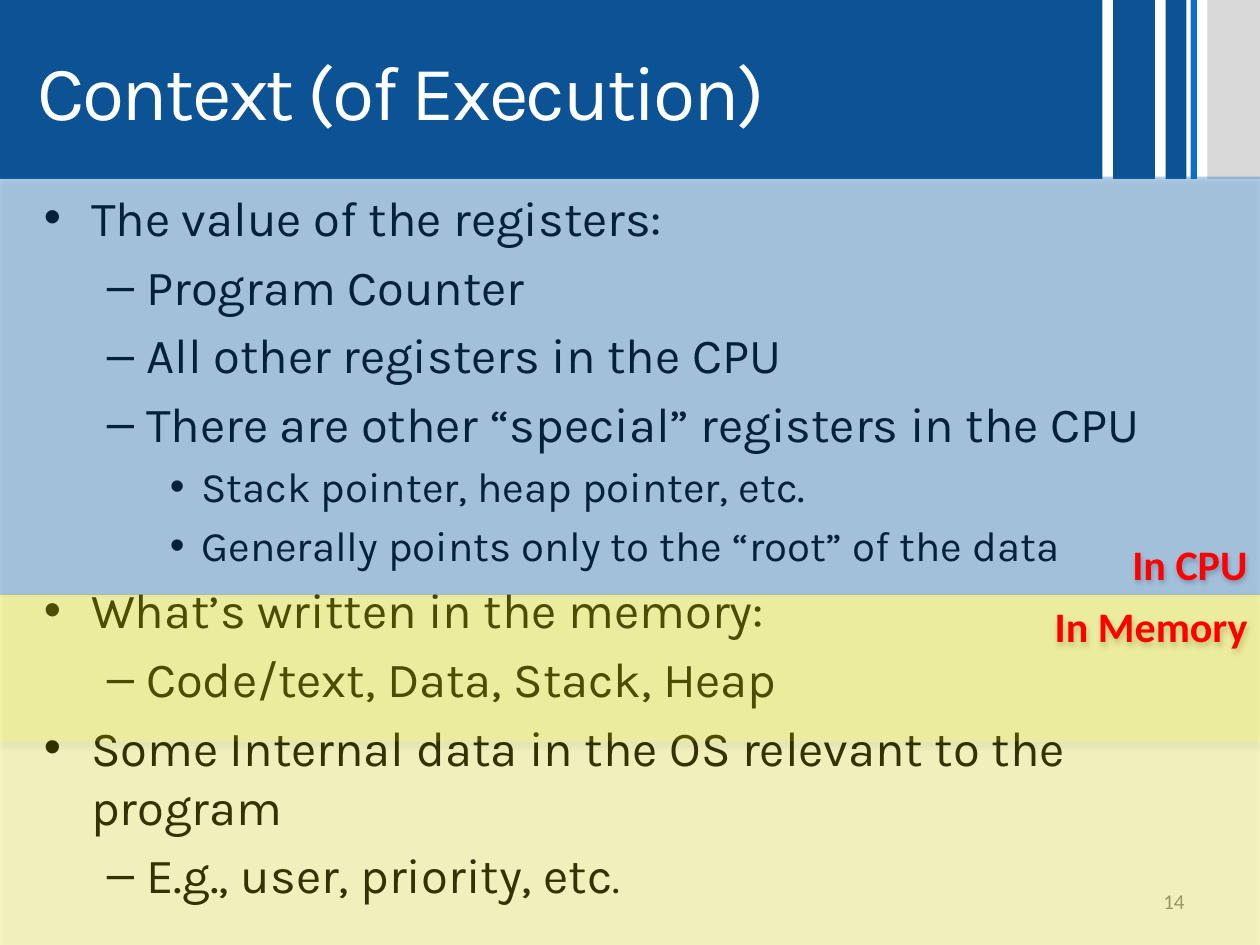
from dataclasses import dataclass

from lxml import etree
from pptx import Presentation
from pptx.dml.color import RGBColor
from pptx.enum.shapes import MSO_SHAPE
from pptx.enum.text import MSO_ANCHOR, MSO_AUTO_SIZE, PP_ALIGN
from pptx.oxml.ns import qn
from pptx.util import Pt

RECTANGLE = MSO_SHAPE.RECTANGLE
TOP, MIDDLE, BOTTOM = MSO_ANCHOR.TOP, MSO_ANCHOR.MIDDLE, MSO_ANCHOR.BOTTOM
LEFT, RIGHT = PP_ALIGN.LEFT, PP_ALIGN.RIGHT
NO_AUTOFIT = MSO_AUTO_SIZE.NONE
TITLE_ONLY = 5


@dataclass(frozen=True)
class Theme:
    width: float = 720
    height: float = 540
    header_height: float = 102.24
    heading_font: str = "Karla"
    label_font: str = "Calibri"
    title_size: float = 44
    body_size: float = 28
    detail_size: float = 24
    label_size: float = 24
    number_size: float = 12
    navy: str = "0B5394"
    blue: str = "0F6FC6"
    light_gray: str = "D9D9D9"
    number_gray: str = "898989"
    yellow: str = "FFFF00"
    red: str = "FF0000"
    black: str = "000000"
    white: str = "FFFFFF"


THEME = Theme()

# Per level: left margin, hanging indent, bullet, type size
LEVELS = (
    (27, -27, "•", THEME.body_size),
    (58.5, -22.5, "–", THEME.body_size),
    (90, -18, "•", THEME.detail_size),
)

BODY = (
    (0, ["The value of the registers:"]),
    (1, ["Program Counter"]),
    (1, ["All other registers in the CPU"]),
    (1, ["There are other “special” registers in the CPU"]),
    (2, ["Stack pointer, heap pointer, etc."]),
    (2, ["Generally points only to the “root” of the data"]),
    (0, ["What’s written in the memory:"]),
    (1, ["Code/text, Data, Stack, Heap"]),
    (0, ["Some Internal data in the OS relevant to the program"]),
    (1, ["E.g., user, priority, etc", "."]),
)

# Left, width, colour
STRIPES = (
    (636, 24, THEME.navy),
    (666, 12, THEME.navy),
    (680.4, 3.6, THEME.blue),
    (690, 30, THEME.light_gray),
)

# Top, height, colour, opacity in percent, label, anchor
BANDS = (
    (424, 116, THEME.yellow, 20, "", TOP),
    (339.4, 84.4, THEME.yellow, 30, "In Memory", TOP),
    (101, 239, THEME.blue, 30, "In CPU", BOTTOM),
)


def add_run(paragraph, text, font, size, color, bold=False):
    run = paragraph.add_run()
    run.text = text
    run.font.name = font
    run.font.size = Pt(size)
    run.font.bold = bold
    run.font.color.rgb = RGBColor.from_string(color)
    return run


def add_rectangle(shapes, left, top, width, height, color):
    shape = shapes.add_shape(RECTANGLE, Pt(left), Pt(top), Pt(width), Pt(height))
    shape.shadow.inherit = False
    shape.fill.solid()
    shape.fill.fore_color.rgb = RGBColor.from_string(color)
    shape.line.fill.background()
    return shape


def add_text_box(slide, left, top, width, height, anchor):
    box = slide.shapes.add_textbox(Pt(left), Pt(top), Pt(width), Pt(height))
    box.text_frame.word_wrap = True
    box.text_frame.vertical_anchor = anchor
    return box.text_frame


def set_opacity(shape, percent):
    color = shape._element.spPr.find(qn("a:solidFill"))[0]
    etree.SubElement(color, qn("a:alpha"), val=str(percent * 1000))


def add_drop_shadow(shape):
    effects = shape._element.spPr.find(qn("a:effectLst"))
    shadow = etree.SubElement(
        effects, qn("a:outerShdw"), blurRad=str(Pt(3.1)), dist=str(Pt(1.8)),
        dir=str(90 * 60000), rotWithShape="0")
    color = etree.SubElement(shadow, qn("a:srgbClr"), val=THEME.black)
    etree.SubElement(color, qn("a:alpha"), val="35000")


def format_bullet(paragraph, margin, indent, bullet):
    properties = paragraph._p.get_or_add_pPr()
    properties.set("marL", str(Pt(margin)))
    properties.set("indent", str(Pt(indent)))
    spacing = etree.SubElement(properties, qn("a:spcBef"))
    etree.SubElement(spacing, qn("a:spcPct"), val="20000")
    etree.SubElement(properties, qn("a:buFont"), typeface="Arial")
    etree.SubElement(properties, qn("a:buChar"), char=bullet)


def format_title(slide, text):
    title = slide.shapes.title
    title.left, title.top = Pt(0), Pt(0)
    title.width, title.height = Pt(630), Pt(THEME.header_height)
    title.fill.solid()
    title.fill.fore_color.rgb = RGBColor.from_string(THEME.navy)
    frame = title.text_frame
    frame.auto_size = NO_AUTOFIT
    frame.vertical_anchor = MIDDLE
    frame.margin_left = Pt(21.6)
    paragraph = frame.paragraphs[0]
    paragraph.alignment = LEFT
    run = add_run(paragraph, text, THEME.heading_font, THEME.title_size, THEME.white)
    run._r.get_or_add_rPr().set("spc", "-150")


def add_body(slide):
    frame = add_text_box(slide, 18, 103.7, 666, 356.4, TOP)
    for index, (level, texts) in enumerate(BODY):
        paragraph = frame.add_paragraph() if index else frame.paragraphs[0]
        paragraph.level = level
        margin, indent, bullet, size = LEVELS[level]
        format_bullet(paragraph, margin, indent, bullet)
        for text in texts:
            run_size = THEME.detail_size if text == "." else size
            add_run(paragraph, text, THEME.heading_font, run_size, THEME.black)


def add_band(group, top, height, color, opacity, label, anchor):
    band = add_rectangle(group.shapes, 0, top, THEME.width, height, color)
    set_opacity(band, opacity)
    add_drop_shadow(band)
    if label:
        band.text_frame.vertical_anchor = anchor
        paragraph = band.text_frame.paragraphs[0]
        paragraph.alignment = RIGHT
        add_run(paragraph, label, THEME.label_font, THEME.label_size, THEME.red, bold=True)


def main():
    presentation = Presentation()
    presentation.slide_width = Pt(THEME.width)
    presentation.slide_height = Pt(THEME.height)
    slide = presentation.slides.add_slide(presentation.slide_layouts[TITLE_ONLY])

    # Header
    format_title(slide, "Context (of Execution)")
    for left, width, color in STRIPES:
        add_rectangle(slide.shapes, left, 0, width, THEME.header_height, color)

    # Bulleted text
    add_body(slide)

    # Slide number
    number = add_text_box(slide, 516, 500.5, 168, 28.75, MIDDLE).paragraphs[0]
    number.alignment = RIGHT
    add_run(number, "14", THEME.label_font, THEME.number_size, THEME.number_gray)

    # Translucent bands over the text
    group = slide.shapes.add_group_shape()
    for band in BANDS:
        add_band(group, *band)

    presentation.save("out.pptx")


if __name__ == "__main__":
    main()
